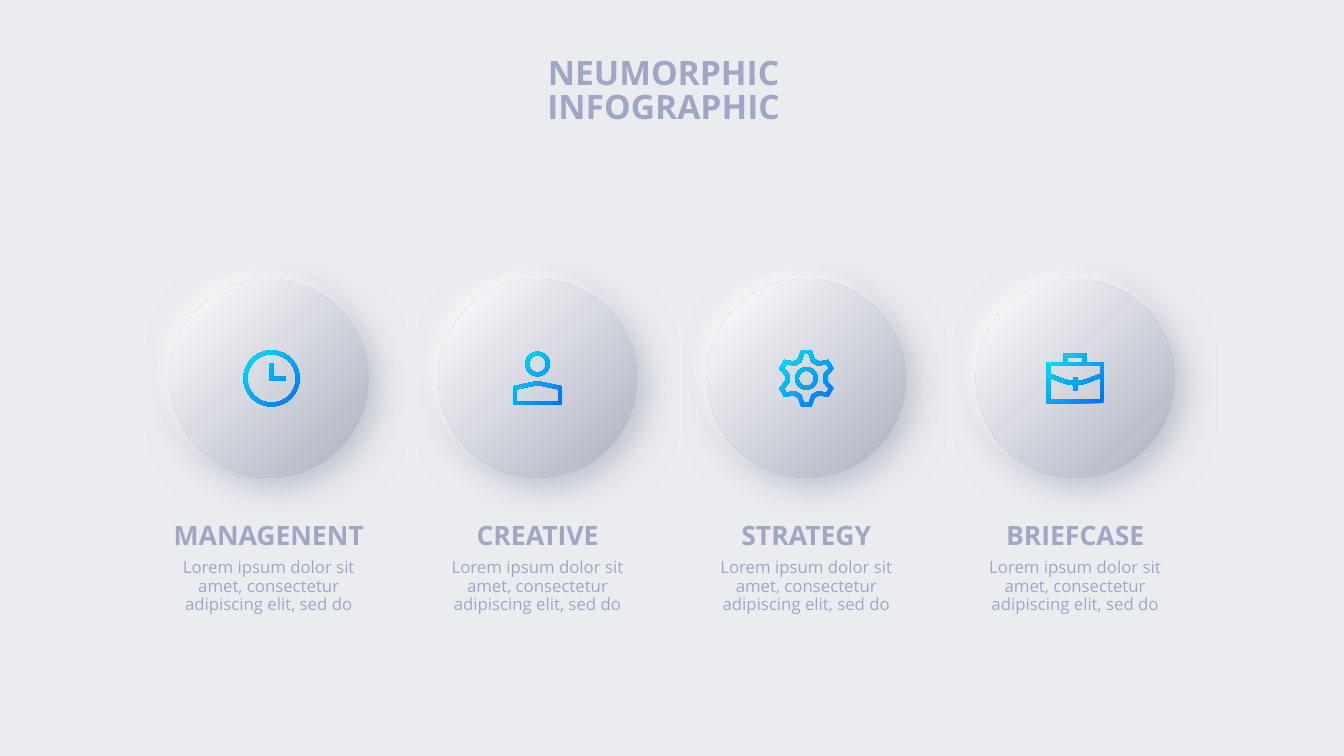
"""Build a neumorphic infographic slide with four icon discs."""
from dataclasses import dataclass
from math import cos, pi, sin

from lxml import etree
from pptx import Presentation
from pptx.dml.color import RGBColor
from pptx.enum.shapes import MSO_SHAPE
from pptx.enum.text import MSO_ANCHOR, MSO_AUTO_SIZE, PP_ALIGN
from pptx.oxml.ns import qn
from pptx.util import Pt

OVAL = MSO_SHAPE.OVAL
TOP = MSO_ANCHOR.TOP
FIXED = MSO_AUTO_SIZE.NONE
CENTER = PP_ALIGN.CENTER


@dataclass(frozen=True)
class Theme:
    font: str = "Open Sans"
    back: str = "EBECF0"
    ink: str = "9FA7C4"
    light: str = "FFFFFF"
    shade: str = "ACB0C0"
    blue: str = "006EFF"
    cyan: str = "00E6F2"
    title: float = 24
    head: float = 19
    body: float = 12


def ring(x, y, *radii):
    steps = 72
    return [[(x + r * cos(2 * pi * i / steps), y + r * sin(2 * pi * i / steps))
             for i in range(steps)] for r in radii]


def mirror(half):
    return half + [(-x, y) for x, y in reversed(half)]


def cog(tooth):
    turns = [i * pi / 3 for i in range(6)]
    return [(x * cos(a) - y * sin(a), x * sin(a) + y * cos(a))
            for a in turns for x, y in mirror(tooth)]


CLOCK = ring(2, 0, 20, 17.3) + [
    [(0.7, -11), (3.2, -11), (3.2, -1.3), (12, -1.3), (12, 1.4), (0.7, 1.4)]]
PERSON = ring(0, -10.3, 8.7, 6) + [
    mirror([(0, 2), (17.4, 5.6), (17.4, 18.9)]),
    mirror([(0, 4.7), (14.7, 7.8), (14.7, 16.2)])]
GEAR = ring(0, 0, 8, 5.4) + [
    cog([(-5.8, -14), (-3.6, -20.2)]),
    cog([(-3.7, -11.7), (-1.7, -17.5)])]
CASE = [
    mirror([(8, -17.6), (8, -11.7), (20.4, -11.7), (20.4, 17.7)]),
    mirror([(5.4, -15.2), (5.4, -11.7)]),
    mirror([(17.8, -9), (17.8, -3.2), (8, 0.5), (4.6, 1.5), (1.3, 1.9), (1.3, -1)]),
    mirror([(17.8, 14.9), (17.8, -0.3), (8.5, 3.3), (4.8, 4.4), (1.3, 4.8), (1.3, 8.3)])]

BLURB = "Lorem ipsum dolor sit amet, consectetur adipiscing elit, sed do"
ITEMS = [("MANAGENENT", CLOCK), ("CREATIVE", PERSON),
         ("STRATEGY", GEAR), ("BRIEFCASE", CASE)]


class Deck:
    def __init__(self, theme):
        self.theme = theme
        self.show = Presentation()
        self.show.slide_width, self.show.slide_height = Pt(960), Pt(540)
        self.slide = self.show.slides.add_slide(self.show.slide_layouts[5])
        fill = self.slide.background.fill
        fill.solid()
        fill.fore_color.rgb = RGBColor.from_string(theme.back)

    def label(self, para, text, size, bold, space):
        para.alignment = CENTER
        para.line_spacing = space
        run = para.add_run()
        run.text = text
        font = run.font
        font.name, font.size, font.bold = self.theme.font, Pt(size), bold
        font.color.rgb = RGBColor.from_string(self.theme.ink)

    def frame(self, box, wrap, side=0, edge=0):
        frame = box.text_frame
        frame.word_wrap, frame.auto_size = wrap, FIXED
        frame.vertical_anchor = TOP
        frame.margin_left = frame.margin_right = Pt(side)
        frame.margin_top = frame.margin_bottom = Pt(edge)
        return frame

    def title(self, lines, x, y, wide, high):
        box = self.slide.shapes.title
        box.left, box.top, box.width, box.height = Pt(x), Pt(y), Pt(wide), Pt(high)
        frame = self.frame(box, False)
        for i, line in enumerate(lines):
            para = frame.add_paragraph() if i else frame.paragraphs[0]
            para.space_before = Pt(0)
            self.label(para, line, self.theme.title, True, Pt(24.5))

    def text(self, text, mid, y, wide, high, size, bold=False, side=0, edge=0):
        box = self.slide.shapes.add_textbox(
            Pt(mid - wide / 2), Pt(y), Pt(wide), Pt(high))
        frame = self.frame(box, not bold, side, edge)
        self.label(frame.paragraphs[0], text, size, bold, 0.9)

    def blend(self, shape, first, last, angle=0):
        shape.fill.gradient()
        shape.fill.gradient_angle = angle
        for stop, tone in zip(shape.fill.gradient_stops, (first, last)):
            stop.color.rgb = RGBColor.from_string(tone)

    def radial(self, shape, first, last):
        self.blend(shape, first, last)
        grad = shape.element.spPr.find(qn("a:gradFill"))
        grad.remove(grad.find(qn("a:lin")))
        way = etree.SubElement(grad, qn("a:path"), path="circle")
        etree.SubElement(way, qn("a:fillToRect"), r="100000", b="100000")

    def plain(self, shape):
        shape.line.fill.background()
        shape.shadow.inherit = False

    def glow(self, shape, tone, alpha, blur, angle):
        self.plain(shape)
        effect = shape.element.spPr.find(qn("a:effectLst"))
        cast = etree.SubElement(
            effect, qn("a:outerShdw"), blurRad=str(Pt(blur)), dist=str(Pt(9)),
            dir=str(angle * 60000), algn="ctr", rotWithShape="0")
        color = etree.SubElement(cast, qn("a:srgbClr"), val=tone)
        etree.SubElement(color, qn("a:alpha"), val=str(alpha * 1000))

    def disc(self, x, y, size):
        look = self.theme
        group = self.slide.shapes.add_group_shape()
        place = Pt(x - size / 2), Pt(y - size / 2), Pt(size), Pt(size)
        base, face = (group.shapes.add_shape(OVAL, *place) for _ in range(2))
        base.fill.solid()
        base.fill.fore_color.rgb = RGBColor.from_string(look.back)
        self.glow(base, look.shade, 73, 24, 45)
        self.radial(face, look.light, look.shade)
        self.glow(face, look.light, 56, 9, 225)

    def icon(self, x, y, loops):
        outlines = [[(Pt(x + a), Pt(y + b)) for a, b in loop] for loop in loops]
        pen = self.slide.shapes.build_freeform(*outlines[0][0])
        for i, line in enumerate(outlines):
            if i:
                pen.move_to(*line[0])
            pen.add_line_segments(line[1:], close=True)
        shape = pen.convert_to_shape()
        self.blend(shape, self.theme.blue, self.theme.cyan, 135)
        self.plain(shape)


def main():
    look = Theme()
    deck = Deck(look)
    deck.title(["NEUMORPHIC", "INFOGRAPHIC"], 390, 41.3, 168, 50)
    step, mid = 192, 270.3
    for i, (name, loops) in enumerate(ITEMS, 1):
        x = step * i
        deck.disc(x, mid, 142)
        deck.icon(x, mid, loops)
        deck.text(name, x, 373, 150, 23, look.head, bold=True)
        deck.text(BLURB, x, 396, 150, 51, look.body, side=7.2, edge=3.6)
    deck.show.save("out.pptx")


if __name__ == "__main__":
    main()
